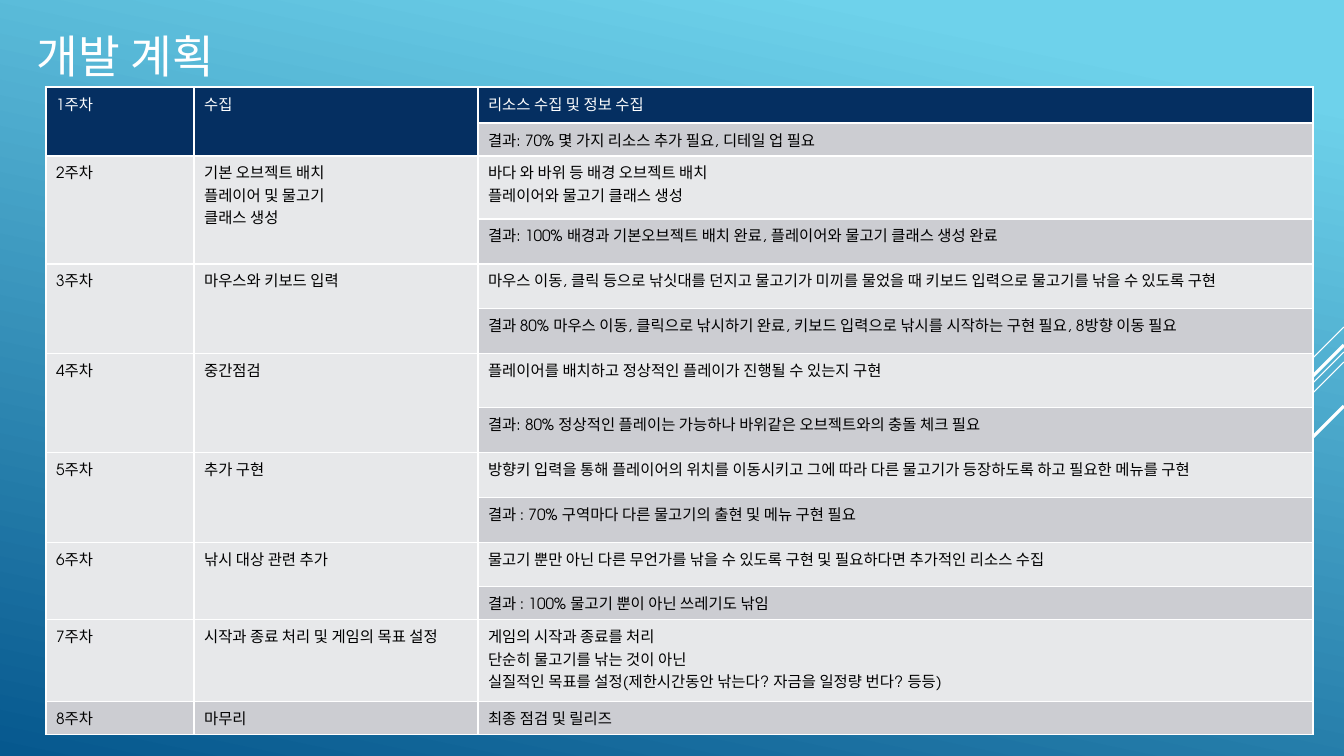
from dataclasses import dataclass
from lxml.etree import SubElement
from pptx import Presentation
from pptx.dml.color import RGBColor
from pptx.enum.shapes import MSO_CONNECTOR
from pptx.enum.text import MSO_ANCHOR
from pptx.oxml.ns import qn
from pptx.util import Emu, Pt

SLIDE_WIDTH, SLIDE_HEIGHT = 1344, 756
EMU_PER_PX = 12192000 / SLIDE_WIDTH


@dataclass(frozen=True)
class Theme:
    font: str = "TeX Gyre Adventor"
    title_size: float = 32.4
    body_size: float = 11
    thin: float = 0.75
    thick: float = 2.25
    border: float = 1
    white: str = "FFFFFF"
    black: str = "000000"
    sky: str = "6ED2EB"
    sea: str = "06588E"
    navy: str = "052F61"
    plan: str = "E7E8EA"
    result: str = "CCCDD2"


THEME = Theme()

WEEKS = [
    ("수집", "리소스 수집 및 정보 수집", "결과: 70% 몇 가지 리소스 추가 필요, 디테일 업 필요"),
    ("기본 오브젝트 배치\n플레이어 및 물고기\n클래스 생성",
     "바다 와 바위 등 배경 오브젝트 배치\n플레이어와 물고기 클래스 생성",
     "결과: 100% 배경과 기본오브젝트 배치 완료, 플레이어와 물고기 클래스 생성 완료"),
    ("마우스와 키보드 입력",
     "마우스 이동, 클릭 등으로 낚싯대를 던지고 물고기가 미끼를 물었을 때 키보드 입력으로 물고기를 낚을 수 있도록 구현",
     "결과 80% 마우스 이동, 클릭으로 낚시하기 완료, 키보드 입력으로 낚시를 시작하는 구현 필요, 8방향 이동 필요"),
    ("중간점검", "플레이어를 배치하고 정상적인 플레이가 진행될 수 있는지 구현",
     "결과: 80% 정상적인 플레이는 가능하나 바위같은 오브젝트와의 충돌 체크 필요"),
    ("추가 구현",
     "방향키 입력을 통해 플레이어의 위치를 이동시키고 그에 따라 다른 물고기가 등장하도록 하고 필요한 메뉴를 구현",
     "결과 : 70% 구역마다 다른 물고기의 출현 및 메뉴 구현 필요"),
    ("낚시 대상 관련 추가",
     "물고기 뿐만 아닌 다른 무언가를 낚을 수 있도록 구현 및 필요하다면 추가적인 리소스 수집",
     "결과 : 100% 물고기 뿐이 아닌 쓰레기도 낚임"),
    ("시작과 종료 처리 및 게임의 목표 설정",
     "게임의 시작과 종료를 처리\n단순히 물고기를 낚는 것이 아닌\n"
     "실질적인 목표를 설정(제한시간동안 낚는다? 자금을 일정량 번다? 등등)", None),
    ("마무리", "최종 점검 및 릴리즈", None),
]
COLUMN_WIDTHS = [148, 284, 835]
ROW_HEIGHTS = [36, 33, 63, 45, 45, 45, 54, 45, 45, 45, 44, 33, 82, 33]
RAYS = [
    (0, 101, THEME.thin),
    (25, 329, THEME.thin),
    (35, 209, THEME.thin),
    (18, 193, THEME.thick),
    (79, 140, THEME.thick),
]


def px(length):
    return Emu(round(length * EMU_PER_PX))


def rgb(color):
    return RGBColor.from_string(color)


def write(text_frame, text, size, color):
    text_frame.text = text
    for paragraph in text_frame.paragraphs:
        for run in paragraph.runs:
            run.font.name = THEME.font
            run.font.size = Pt(size)
            run.font.color.rgb = rgb(color)


def paint_background(slide):
    fill = slide.background.fill
    fill.gradient()
    fill.gradient_angle = 258
    stops = [(0.1, THEME.sky), (1, THEME.sea)]
    for stop, (position, color) in zip(fill.gradient_stops, stops):
        stop.position = position
        stop.color.rgb = rgb(color)


def draw_rays(slide, right, top):
    for drop, reach, weight in RAYS:
        start = top + drop
        ray = slide.shapes.add_connector(
            MSO_CONNECTOR.STRAIGHT, px(right), px(start),
            px(right - reach), px(start + reach))
        ray.line.color.rgb = rgb(THEME.white)
        ray.line.width = Pt(weight)
        SubElement(ray._element.spPr, qn("a:effectLst"))


def add_title(slide, left, top, width, height):
    title = slide.shapes.add_textbox(px(left), px(top), px(width), px(height))
    title.text_frame.word_wrap = True
    title.text_frame.vertical_anchor = MSO_ANCHOR.MIDDLE
    write(title.text_frame, "개발 계획", THEME.title_size, THEME.white)


def style_cell(cell, fill):
    properties = cell._tc.get_or_add_tcPr()
    for side in ("a:lnL", "a:lnR", "a:lnT", "a:lnB"):
        edge = SubElement(properties, qn(side), w=str(Pt(THEME.border)))
        paint = SubElement(edge, qn("a:solidFill"))
        SubElement(paint, qn("a:srgbClr"), val=THEME.white)
    cell.fill.solid()
    cell.fill.fore_color.rgb = rgb(fill)


def add_schedule(slide, left, top):
    schedule = slide.shapes.add_table(
        len(ROW_HEIGHTS), len(COLUMN_WIDTHS), px(left), px(top),
        px(sum(COLUMN_WIDTHS)), px(sum(ROW_HEIGHTS))).table
    schedule.first_row = schedule.horz_banding = False
    for column, width in zip(schedule.columns, COLUMN_WIDTHS):
        column.width = px(width)
    for row, height in zip(schedule.rows, ROW_HEIGHTS):
        row.height = px(height)

    row = 0
    for week, (topic, plan, result) in enumerate(WEEKS, 1):
        fill, ink = THEME.plan, THEME.black
        if week == 1:
            fill, ink = THEME.navy, THEME.white
        elif week == len(WEEKS):
            fill = THEME.result
        for column, text in enumerate((f"{week}주차", topic, plan)):
            cell = schedule.cell(row, column)
            style_cell(cell, fill)
            write(cell.text_frame, text, THEME.body_size, ink)
        row += 1
        if result:
            for column in (0, 1):
                style_cell(schedule.cell(row, column), fill)
                schedule.cell(row - 1, column).merge(schedule.cell(row, column))
            outcome = schedule.cell(row, 2)
            style_cell(outcome, THEME.result)
            write(outcome.text_frame, result, THEME.body_size, THEME.black)
            row += 1


def main():
    deck = Presentation()
    deck.slide_width, deck.slide_height = px(SLIDE_WIDTH), px(SLIDE_HEIGHT)
    slide = deck.slides.add_slide(deck.slide_layouts[6])
    paint_background(slide)
    draw_rays(slide, SLIDE_WIDTH, 327)
    add_title(slide, 27, 22, 1159, 66)
    add_schedule(slide, 46, 87)
    deck.save("out.pptx")


if __name__ == "__main__":
    main()
